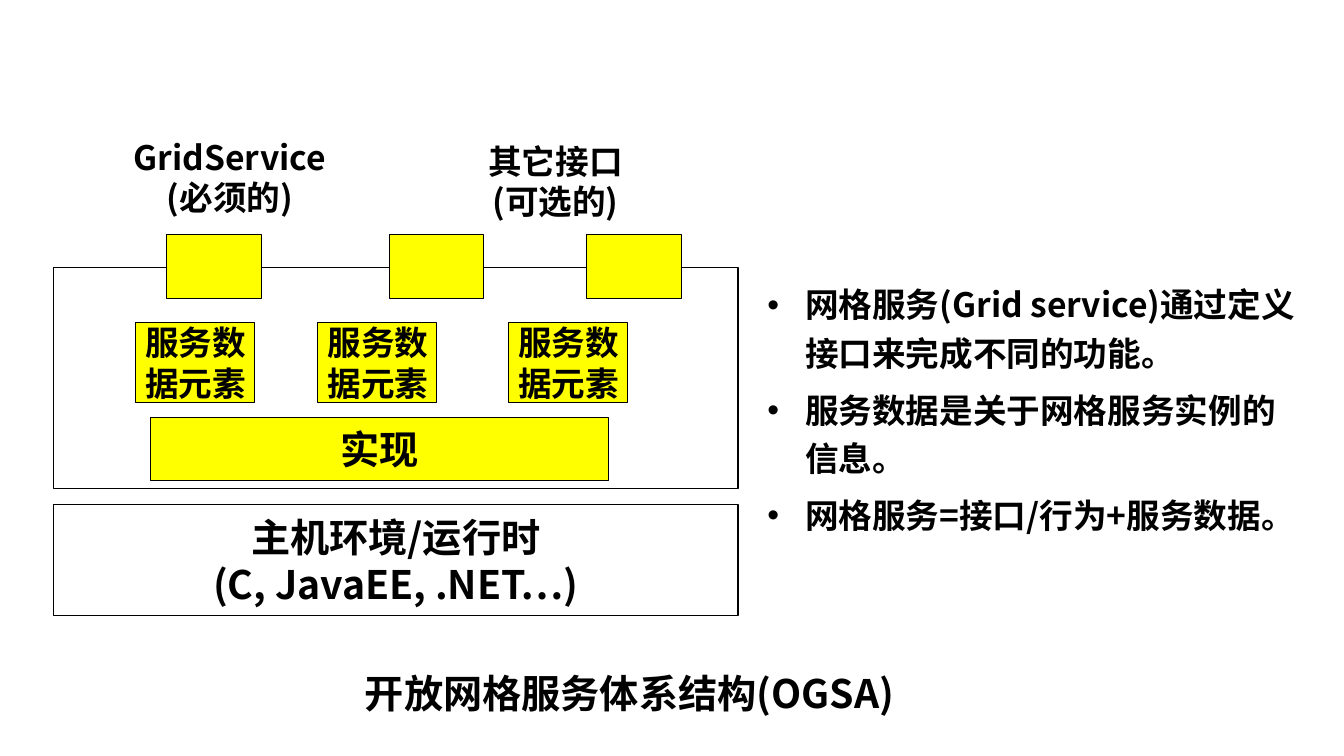
import pptx
import pptx.dml.color
import pptx.enum.shapes
import pptx.enum.text
import pptx.util
from lxml import etree

PX = 9144  # EMU per px, 100 px to the inch
FONT = "Noto Sans CJK SC"
BLACK = "000000"
YELLOW = "FFFF00"
ALIGN = pptx.enum.text.PP_ALIGN
ANCHOR = pptx.enum.text.MSO_ANCHOR


def color(hex_code):
    return pptx.dml.color.RGBColor.from_string(hex_code)


def write(shape, lines, size, align, anchor, wrap):
    frame = shape.text_frame
    frame.text = "\n".join(lines)
    frame.word_wrap = wrap
    frame.auto_size = pptx.enum.text.MSO_AUTO_SIZE.NONE
    frame.vertical_anchor = anchor
    for para in frame.paragraphs:
        para.alignment = align
        for span in para.runs:
            span.font.size = pptx.util.Pt(size)
            span.font.bold = True
            span.font.color.rgb = color(BLACK)
            span.font.name = FONT
            # East Asian typeface, placed right after the Latin one
            latin = span.font._element.find(pptx.oxml.ns.qn("a:latin"))
            east_asian = etree.Element(pptx.oxml.ns.qn("a:ea"), typeface=FONT)
            latin.addnext(east_asian)


deck = pptx.Presentation()
deck.slide_width = 1333 * PX
deck.slide_height = 750 * PX
page = deck.slides.add_slide(deck.slide_layouts[1])

# Rectangles: place, fill, lines of text, size, alignment
service_data = ["服务数", "据元素"]
rectangles = [
    ((53, 501, 679, 110), None, ["主机环境/运行时", "(C, JavaEE, .NET…)"], 28, ALIGN.CENTER),
    ((53, 265, 679, 220), None, [], 28, ALIGN.CENTER),
]
for left in (165, 386, 582):
    rectangles.append(((left, 233, 94, 63), YELLOW, [], 24, ALIGN.CENTER))
for left in (134, 315, 504):
    rectangles.append(((left, 320, 118, 79), YELLOW, service_data, 24, ALIGN.LEFT))
rectangles.append(((149, 414, 455, 63), YELLOW, ["实现"], 28, ALIGN.CENTER))

for place, fill, lines, size, align in rectangles:
    box = page.shapes.add_shape(
        pptx.enum.shapes.MSO_SHAPE.RECTANGLE, *[length * PX for length in place])
    box.shadow.inherit = False
    box.line.color.rgb = color(BLACK)
    box.line.width = pptx.util.Pt(0.75)
    if fill:
        box.fill.solid()
        box.fill.fore_color.rgb = color(fill)
    else:
        box.fill.background()
    if lines:
        write(box, lines, size, align, ANCHOR.MIDDLE, False)

# Interface labels
for left, top, lines in [
    (110, 131, ["GridService", "(必须的)"]),
    (433, 135, ["其它接口", "(可选的)"]),
]:
    label = page.shapes.add_textbox(left * PX, top * PX, 236 * PX, 91 * PX)
    write(label, lines, 24, ALIGN.CENTER, ANCHOR.TOP, True)

# Title below the diagram
title = page.shapes.title
title.left, title.top, title.width, title.height = [
    length * PX for length in (352, 659, 562, 57)]
write(title, ["开放网格服务体系结构(OGSA)"], 28, ALIGN.LEFT, ANCHOR.TOP, True)

# Bulleted list
body = page.placeholders[1]
body.left, body.top, body.width, body.height = [
    length * PX for length in (751, 269, 555, 269)]
write(body, [
    "网格服务(Grid service)通过定义接口来完成不同的功能。",
    "服务数据是关于网格服务实例的信息。",
    "网格服务=接口/行为+服务数据。",
], 24, ALIGN.LEFT, ANCHOR.TOP, True)
for index, para in enumerate(body.text_frame.paragraphs):
    para.line_spacing = 1.2
    para.space_before = pptx.util.Pt(6 if index else 0)

deck.save("out.pptx")
